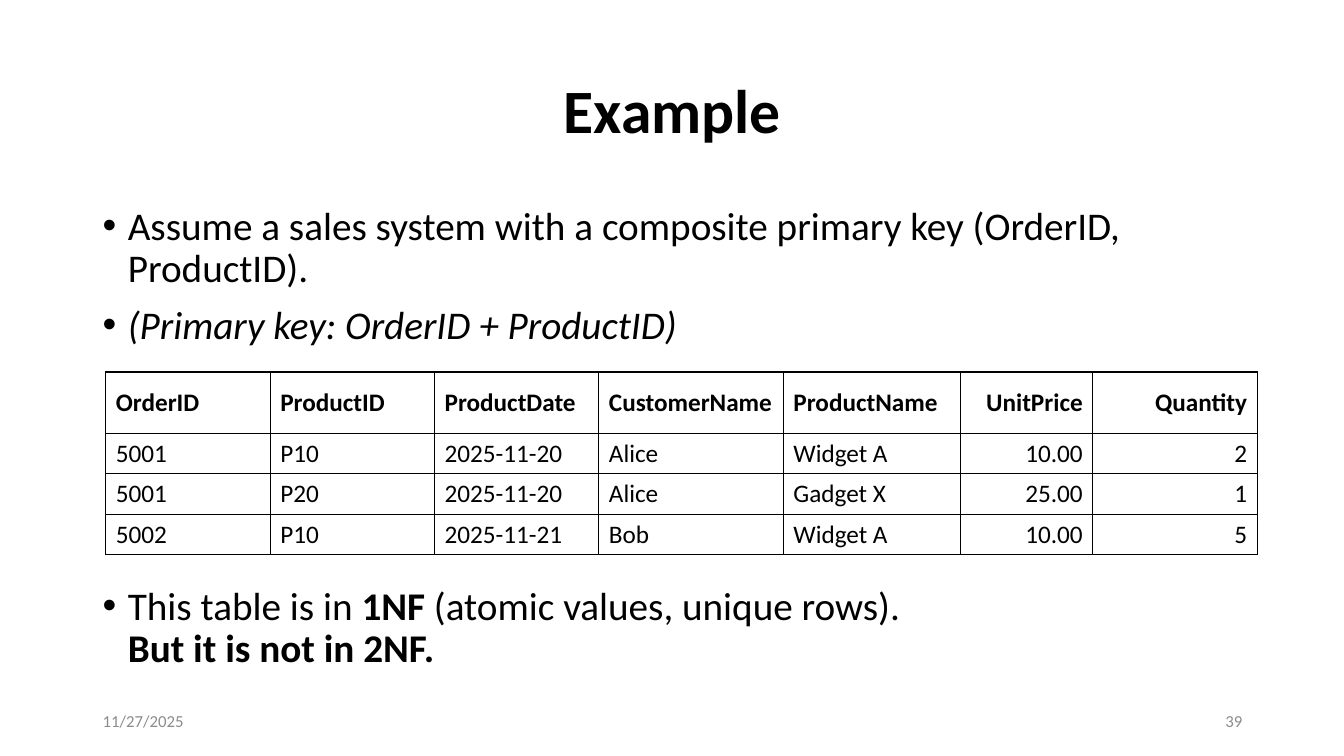
"""Build the normal-form example slide with its sales table."""
from dataclasses import dataclass

import lxml.etree
import pptx
import pptx.dml.color
import pptx.enum.text
import pptx.oxml.ns
import pptx.util

Inches = pptx.util.Inches
Pt = pptx.util.Pt
ALIGN = pptx.enum.text.PP_ALIGN
MIDDLE = pptx.enum.text.MSO_ANCHOR.MIDDLE
qn = pptx.oxml.ns.qn

BLACK = "000000"
GREY = "8C8C8C"
LEFT, FULL_WIDTH = 0.92, 11.5


@dataclass(frozen=True)
class Piece:
    text: str
    bold: bool = False
    italic: bool = False
    break_before: bool = False


@dataclass(frozen=True)
class BulletBlock:
    top: float
    height: float
    bullets: tuple[tuple[Piece, ...], ...]


@dataclass(frozen=True)
class FooterItem:
    text: str
    left: float
    align: ALIGN


@dataclass(frozen=True)
class Column:
    heading: str
    width: float
    align: ALIGN = ALIGN.LEFT


BLOCKS = (
    BulletBlock(2, 1.5, (
        (Piece("Assume a sales system with a composite primary key (OrderID, ProductID)."),),
        (Piece("(Primary key: OrderID + ProductID)", italic=True),),
    )),
    BulletBlock(5.77, 0.99, ((
        Piece("This table is in "),
        Piece("1NF", bold=True),
        Piece(" (atomic values, unique rows)."),
        Piece("But it is not in 2NF.", bold=True, break_before=True),
    ),)),
)
FOOTER = (
    FooterItem("11/27/2025", LEFT, ALIGN.LEFT),
    FooterItem("39", 9.42, ALIGN.RIGHT),
)
COLUMNS = (
    Column("OrderID", 1.63),
    Column("ProductID", 1.63),
    Column("ProductDate", 1.63),
    Column("CustomerName", 1.83),
    Column("ProductName", 1.76),
    Column("UnitPrice", 1.31, ALIGN.RIGHT),
    Column("Quantity", 1.63, ALIGN.RIGHT),
)
ORDERS = (
    ("5001", "P10", "2025-11-20", "Alice", "Widget A", "10.00", "2"),
    ("5001", "P20", "2025-11-20", "Alice", "Gadget X", "25.00", "1"),
    ("5002", "P10", "2025-11-21", "Bob", "Widget A", "10.00", "5"),
)
HEADER_HEIGHT, ORDER_HEIGHT = 0.61, 0.4


def rgb(color: str) -> pptx.dml.color.RGBColor:
    return pptx.dml.color.RGBColor.from_string(color)


def write(paragraph, text: str, *, size: float, color: str = BLACK, bold: bool = False,
          italic: bool = False, align: ALIGN = ALIGN.LEFT) -> None:
    paragraph.alignment = align
    run = paragraph.add_run()
    run.text = text
    run.font.name = "Calibri"
    run.font.size = Pt(size)
    run.font.bold = bold
    run.font.italic = italic
    run.font.color.rgb = rgb(color)


def add_frame(slide, left: float, top: float, width: float, height: float):
    box = slide.shapes.add_textbox(Inches(left), Inches(top), Inches(width), Inches(height))
    box.text_frame.word_wrap = True
    return box.text_frame


def add_title(slide, text: str) -> None:
    title = slide.shapes.title
    title.left, title.top = Inches(LEFT), Inches(0.4)
    title.width, title.height = Inches(FULL_WIDTH), Inches(1.45)
    title.text_frame.vertical_anchor = MIDDLE
    heading = title.text_frame.paragraphs[0]
    heading.line_spacing = 0.9
    write(heading, text, size=44, bold=True, align=ALIGN.CENTER)


def set_bullet(paragraph) -> None:
    paragraph.line_spacing = 0.9
    paragraph.space_before = Pt(10)
    properties = paragraph._p.get_or_add_pPr()
    properties.set("marL", str(Inches(0.25)))
    properties.set("indent", str(Inches(-0.25)))
    lxml.etree.SubElement(properties, qn("a:buFont")).set("typeface", "Arial")
    lxml.etree.SubElement(properties, qn("a:buChar")).set("char", "•")


def add_bullets(slide, block: BulletBlock) -> None:
    frame = add_frame(slide, LEFT, block.top, FULL_WIDTH, block.height)
    for index, pieces in enumerate(block.bullets):
        paragraph = frame.add_paragraph() if index else frame.paragraphs[0]
        set_bullet(paragraph)
        for piece in pieces:
            if piece.break_before:
                paragraph.add_line_break()
            write(paragraph, piece.text, size=28, bold=piece.bold, italic=piece.italic)


def add_footer(slide, item: FooterItem) -> None:
    frame = add_frame(slide, item.left, 6.95, 3, 0.4)
    frame.vertical_anchor = MIDDLE
    write(frame.paragraphs[0], item.text, size=12, color=GREY, align=item.align)


def set_borders(cell, color: str) -> None:
    properties = cell._tc.get_or_add_tcPr()
    for index, side in enumerate(("a:lnL", "a:lnR", "a:lnT", "a:lnB")):
        line = lxml.etree.Element(qn(side), w=str(Pt(1)))
        fill = lxml.etree.SubElement(line, qn("a:solidFill"))
        lxml.etree.SubElement(fill, qn("a:srgbClr")).set("val", color)
        properties.insert(index, line)


def add_orders(slide) -> None:
    rows = (tuple(column.heading for column in COLUMNS), *ORDERS)
    width = sum(column.width for column in COLUMNS)
    height = HEADER_HEIGHT + ORDER_HEIGHT * len(ORDERS)
    orders = slide.shapes.add_table(len(rows), len(COLUMNS), Inches(1.05), Inches(3.69),
                                    Inches(width), Inches(height)).table
    orders.first_row = orders.horz_banding = False
    for position, column in enumerate(COLUMNS):
        orders.columns[position].width = Inches(column.width)
    for row, values in enumerate(rows):
        orders.rows[row].height = Inches(ORDER_HEIGHT if row else HEADER_HEIGHT)
        for position, (column, value) in enumerate(zip(COLUMNS, values)):
            cell = orders.cell(row, position)
            cell.vertical_anchor = MIDDLE
            cell.fill.background()
            set_borders(cell, BLACK)
            write(cell.text_frame.paragraphs[0], value, size=18, bold=row == 0,
                  align=column.align)


def main() -> None:
    deck = pptx.Presentation()
    deck.slide_width, deck.slide_height = Inches(13.33), Inches(7.5)
    slide = deck.slides.add_slide(deck.slide_layouts.get_by_name("Title Only"))
    add_title(slide, "Example")
    for block in BLOCKS:
        add_bullets(slide, block)
    for item in FOOTER:
        add_footer(slide, item)
    add_orders(slide)
    deck.save("out.pptx")


if __name__ == "__main__":
    main()
